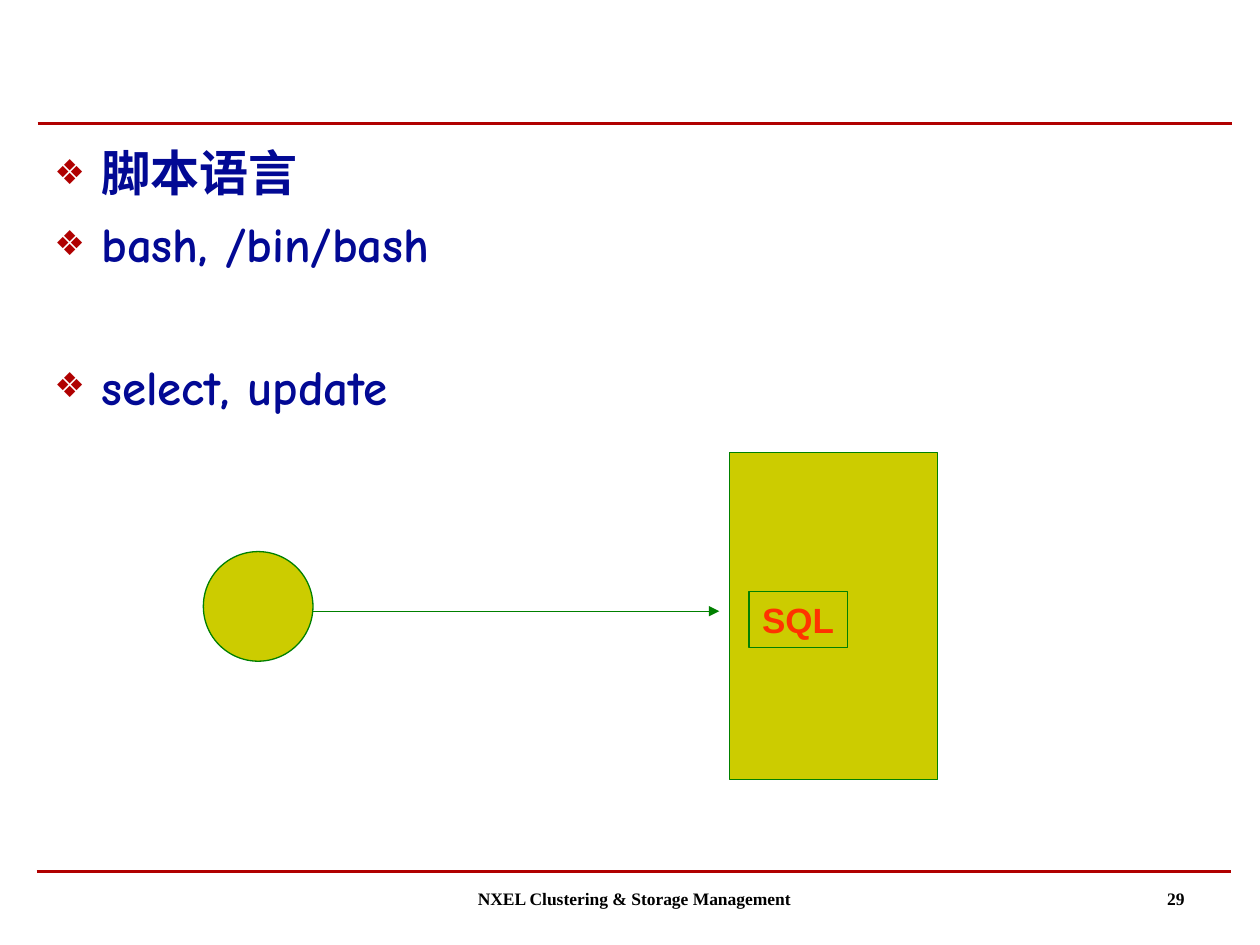
from lxml import etree
from pptx import Presentation
from pptx import util as u
from pptx.dml.color import RGBColor
from pptx.enum import shapes, text
from pptx.oxml import ns

RED = RGBColor(0xB0, 0x00, 0x00)
NAVY = RGBColor(0x02, 0x09, 0x94)
OLIVE = RGBColor(0xCC, 0xCC, 0x00)
GREEN = RGBColor(0x00, 0x80, 0x00)
ORANGE = RGBColor(0xFF, 0x33, 0x00)
BLACK = RGBColor(0x00, 0x00, 0x00)

SHAPE = shapes.MSO_SHAPE
ALIGN = text.PP_ALIGN


def add_element(parent, tag, **attributes):
    return etree.SubElement(parent, ns.qn(tag), attributes)


def write(para, words, font="Arial", size=20, color=BLACK, align=ALIGN.LEFT):
    para.alignment = align
    span = para.add_run()
    span.text = words
    span.font.name = font
    span.font.size = u.Pt(size)
    span.font.bold = True
    span.font.color.rgb = color


def add_bullet(para):
    """Give the paragraph a hanging red diamond."""
    props = para._p.get_or_add_pPr()
    props.set("marL", str(u.Cm(0.95)))
    props.set("indent", str(-u.Cm(0.95)))
    color = add_element(props, "a:buClr")
    add_element(color, "a:srgbClr", val=str(RED))
    add_element(props, "a:buSzPct", val="70000")
    add_element(props, "a:buFont", typeface="Arial")
    add_element(props, "a:buChar", char="❖")


class SlideBuilder:
    """Holds the current slide and its diagram style; lengths are in cm."""

    def __init__(self, page, fill=OLIVE, outline=GREEN, width=0.75):
        self.page = page
        self.fill = fill
        self.outline = outline
        self.width = width

    def bullets(self, items, left, top, width, height):
        """Fill the body with (words, space before) pairs."""
        title = self.page.shapes.title.element
        title.getparent().remove(title)
        body = self.page.placeholders[1]
        body.left, body.top = u.Cm(left), u.Cm(top)
        body.width, body.height = u.Cm(width), u.Cm(height)
        frame = body.text_frame
        frame.auto_size = text.MSO_AUTO_SIZE.NONE
        for number, (words, gap) in enumerate(items):
            para = frame.add_paragraph() if number else frame.paragraphs[0]
            add_bullet(para)
            para.space_before = u.Pt(gap)
            write(para, words, font="Comic Neue", size=28, color=NAVY)

    def line(self, left, right, y, color=None, width=None, arrow=False):
        connector = self.page.shapes.add_connector(
            shapes.MSO_CONNECTOR.STRAIGHT,
            u.Cm(left), u.Cm(y), u.Cm(right), u.Cm(y))
        connector.line.color.rgb = color or self.outline
        connector.line.width = u.Pt(width or self.width)
        if arrow:
            add_element(connector.line._get_or_add_ln(), "a:tailEnd",
                        type="triangle")
        add_element(connector._element.spPr, "a:effectLst")

    def shape(self, kind, left, top, width, height, words=""):
        shape = self.page.shapes.add_shape(
            kind, u.Cm(left), u.Cm(top), u.Cm(width), u.Cm(height))
        shape.shadow.inherit = False
        shape.fill.solid()
        shape.fill.fore_color.rgb = self.fill
        shape.line.color.rgb = self.outline
        shape.line.width = u.Pt(self.width)
        if words:
            shape.text_frame.vertical_anchor = text.MSO_ANCHOR.MIDDLE
            write(shape.text_frame.paragraphs[0], words, color=ORANGE,
                  align=ALIGN.CENTER)

    def footer(self, words, left, width, align):
        box = self.page.shapes.add_textbox(
            u.Cm(left), u.Cm(17.78), u.Cm(width), u.Cm(1.2))
        box.text_frame.word_wrap = True
        write(box.text_frame.paragraphs[0], words, font="Times New Roman",
              size=10, align=align)


def main():
    deck = Presentation()
    deck.slide_width, deck.slide_height = u.Cm(25.4), u.Cm(19.05)
    builder = SlideBuilder(deck.slides.add_slide(deck.slide_layouts[1]))

    builder.line(0.76, 24.84, 2.49, color=RED, width=2)
    builder.line(0.74, 24.82, 17.57, color=RED, width=2)
    builder.bullets(
        [("脚本语言", 0), ("bash, /bin/bash", 7), ("select, update", 48)],
        0.84, 2.75, 23.93, 14.6)

    builder.shape(SHAPE.RECTANGLE, 14.71, 9.12, 4.19, 6.6)
    builder.shape(SHAPE.RECTANGLE, 15.1, 11.93, 1.98, 1.12, words="SQL")
    builder.shape(SHAPE.OVAL, 4.1, 11.12, 2.21, 2.21)
    builder.line(6.3, 14.5, 12.32, arrow=True)

    builder.footer("NXEL Clustering & Storage Management", 8.76, 8.05,
                   ALIGN.CENTER)
    builder.footer("29", 18.21, 5.92, ALIGN.RIGHT)
    deck.save("out.pptx")


if __name__ == "__main__":
    main()
